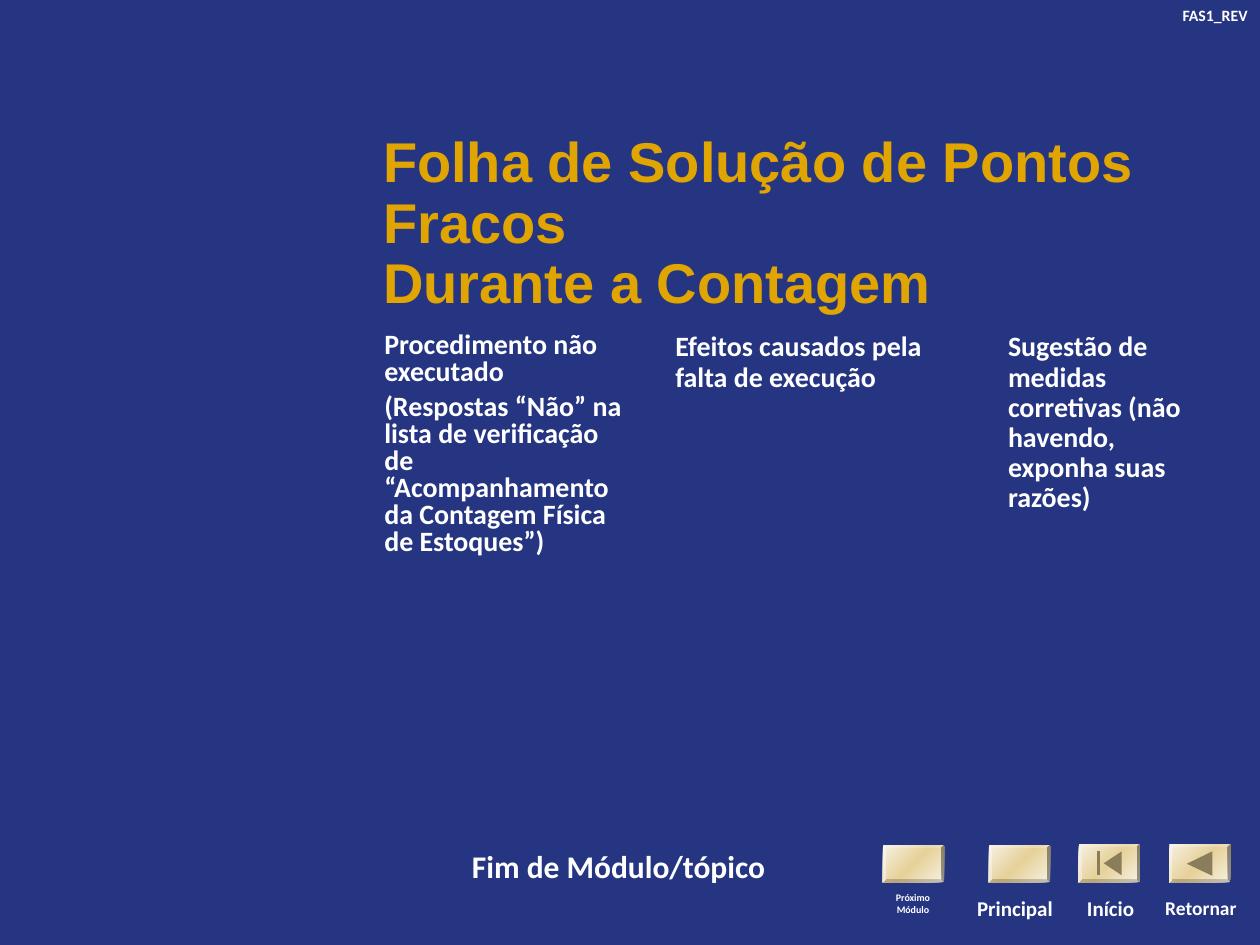
from copy import deepcopy

from lxml import etree
from pptx import Presentation
from pptx.dml.color import RGBColor
from pptx.enum.shapes import MSO_SHAPE
from pptx.enum.text import MSO_ANCHOR, MSO_AUTO_SIZE, PP_ALIGN
from pptx.oxml.ns import qn
from pptx.util import Pt

LEFT, CENTER, RIGHT = PP_ALIGN.LEFT, PP_ALIGN.CENTER, PP_ALIGN.RIGHT
TOP, MIDDLE = MSO_ANCHOR.TOP, MSO_ANCHOR.MIDDLE
BEVEL = MSO_SHAPE.BEVEL
NO_FIT = MSO_AUTO_SIZE.NONE

NAVY, GOLD, WHITE, ICON = "263582", "E0A500", "FFFFFF", "8A7D5C"
BUTTON_STOPS = [(0, "F7F2E5"), (0.5, "E6D199"), (1, "F7F2E5")]


def color(value):
    return RGBColor.from_string(value)


class SlideBuilder:
    font = "Calibri"

    def __init__(self, page):
        self.page = page
        fill = page.background.fill
        fill.solid()
        fill.fore_color.rgb = color(NAVY)

    def place(self, box, area):
        box.left, box.top, box.width, box.height = (Pt(length) for length in area)

    def set_text(self, box, text, size, align=LEFT, anchor=TOP, wrap=True,
                 spacing=1.0, before=0, font=font, ink=WHITE):
        frame = box.text_frame
        frame.text = text
        frame.auto_size = NO_FIT
        frame.word_wrap = wrap
        frame.vertical_anchor = anchor
        frame.margin_left = frame.margin_right = Pt(7.2)
        frame.margin_top = frame.margin_bottom = Pt(3.6)
        for number, para in enumerate(frame.paragraphs):
            para.alignment = align
            para.line_spacing = spacing
            para.space_before = Pt(before if number else 0)
            for span in para.runs:
                span.font.name = font
                span.font.size = Pt(size)
                span.font.bold = True
                span.font.color.rgb = color(ink)

    def title(self, text, area):
        box = self.page.shapes.title
        self.place(box, area)
        self.set_text(box, text, 32, anchor=MIDDLE, spacing=0.9, font="Arial", ink=GOLD)

    def column(self, index, text, area, spacing):
        box = self.page.placeholders[index]
        self.place(box, area)
        self.set_text(box, text, 16, spacing=spacing, before=5)
        for para in box.text_frame.paragraphs:
            properties = para._p.get_or_add_pPr()
            properties.set("marL", "0")
            properties.set("indent", "0")
            etree.SubElement(properties, qn("a:buNone"))

    def label(self, text, area, size, **style):
        box = self.page.shapes.add_textbox(*(Pt(length) for length in area))
        self.set_text(box, text, size, **style)

    def button(self, area):
        box = self.page.shapes.add_shape(BEVEL, *(Pt(length) for length in area))
        box.adjustments[0] = 0.07
        box.shadow.inherit = False
        box.line.fill.background()
        box.fill.gradient()
        box.fill.gradient_angle = 135
        stop_list = box.fill._fill._gradFill.find(qn("a:gsLst"))
        stop_list.append(deepcopy(stop_list[0]))
        for stop, (position, value) in zip(box.fill.gradient_stops, BUTTON_STOPS):
            stop.position = position
            stop.color.rgb = color(value)

    def icon(self, points):
        builder = self.page.shapes.build_freeform(*(Pt(length) for length in points[0]), scale=1.0)
        builder.add_line_segments([(Pt(x), Pt(y)) for x, y in points[1:]], close=True)
        shape = builder.convert_to_shape()
        shape.shadow.inherit = False
        shape.fill.solid()
        shape.fill.fore_color.rgb = color(ICON)
        shape.line.fill.background()


def main():
    deck = Presentation()
    deck.slide_width, deck.slide_height = Pt(720), Pt(540)
    slide = SlideBuilder(deck.slides.add_slide(deck.slide_layouts[4]))

    slide.label("FAS1_REV", (653.8, 0, 66.2, 18), 9, align=RIGHT)
    slide.title("Folha de Solução de Pontos Fracos\vDurante a Contagem",
                (211.7, 83.5, 496.8, 90))

    columns = [
        ("Procedimento não executado\n(Respostas “Não” na lista de verificação de "
         "“Acompanhamento da Contagem Física de Estoques”)", 212.4, 157, 0.8),
        ("Efeitos causados pela falta de execução", 378.7, 168.5, 0.9),
        ("Sugestão de medidas corretivas (não havendo, exponha suas razões)",
         568.8, 133.9, 0.9),
    ]
    for index, (text, left, width, spacing) in enumerate(columns, start=1):
        slide.column(index, text, (left, 186.5, width, 160), spacing)
    unused = slide.page.placeholders[4]._element
    unused.getparent().remove(unused)

    slide.label("Fim de Módulo/tópico", (248.4, 480.2, 210.2, 28.8), 18,
                align=CENTER, anchor=MIDDLE, wrap=False)

    for left, top in [(504.5, 483), (565, 483), (616.3, 482.4), (668.2, 482.4)]:
        slide.button((left, top, 35, 504.2 - top))
    slide.icon([(630.7, 493.3), (641, 486.5), (641, 500.2)])
    slide.icon([(627.1, 486.5), (628.8, 486.5), (628.8, 500.2), (627.1, 500.2)])
    slide.icon([(678.2, 493.6), (692.8, 486.5), (692.8, 500.5)])

    labels = [
        ("Próximo\vMódulo", 477.4, 506.2, 88.6, 5.7),
        ("Principal", 535.7, 508.3, 88.6, 12),
        ("Início", 609.8, 508.3, 49.7, 12),
        ("Retornar", 653.8, 508.3, 64.8, 11.1),
    ]
    for text, left, top, width, size in labels:
        slide.label(text, (left, top, width, 23.8), size, align=CENTER)

    deck.save("out.pptx")


if __name__ == "__main__":
    main()
